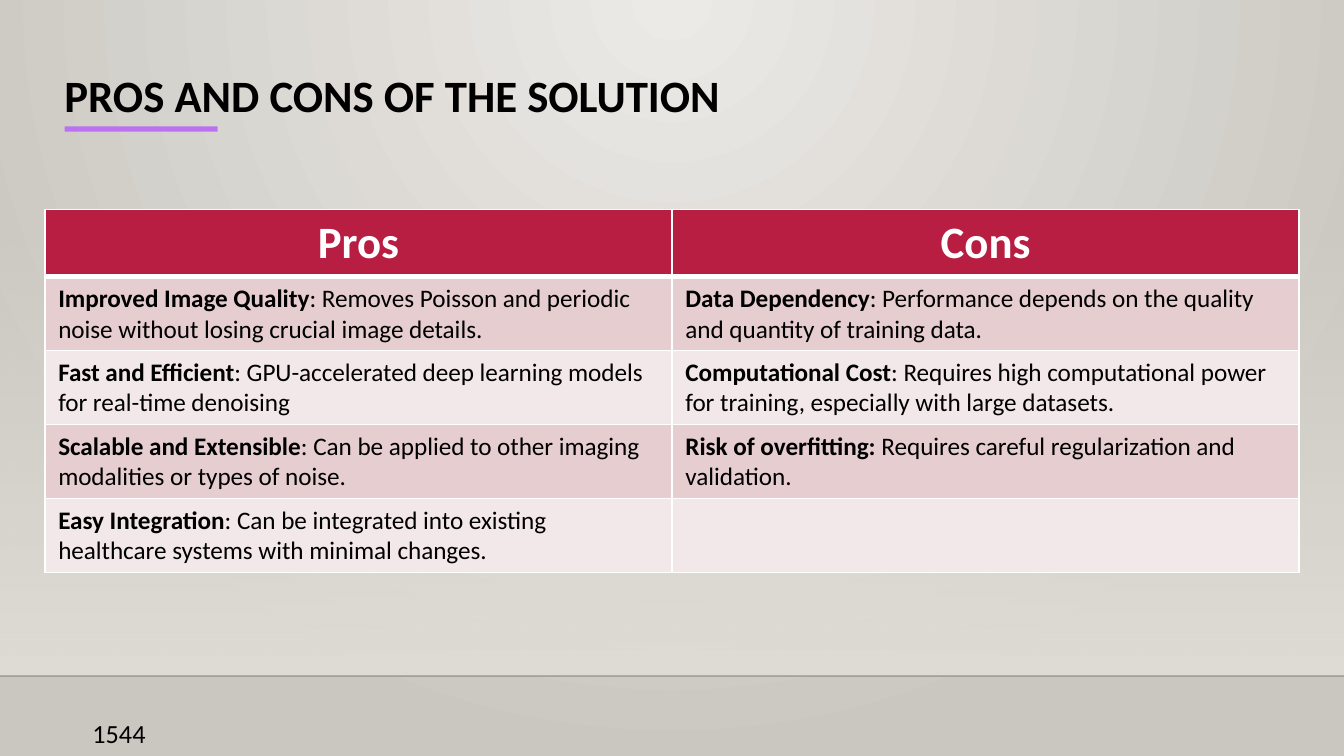
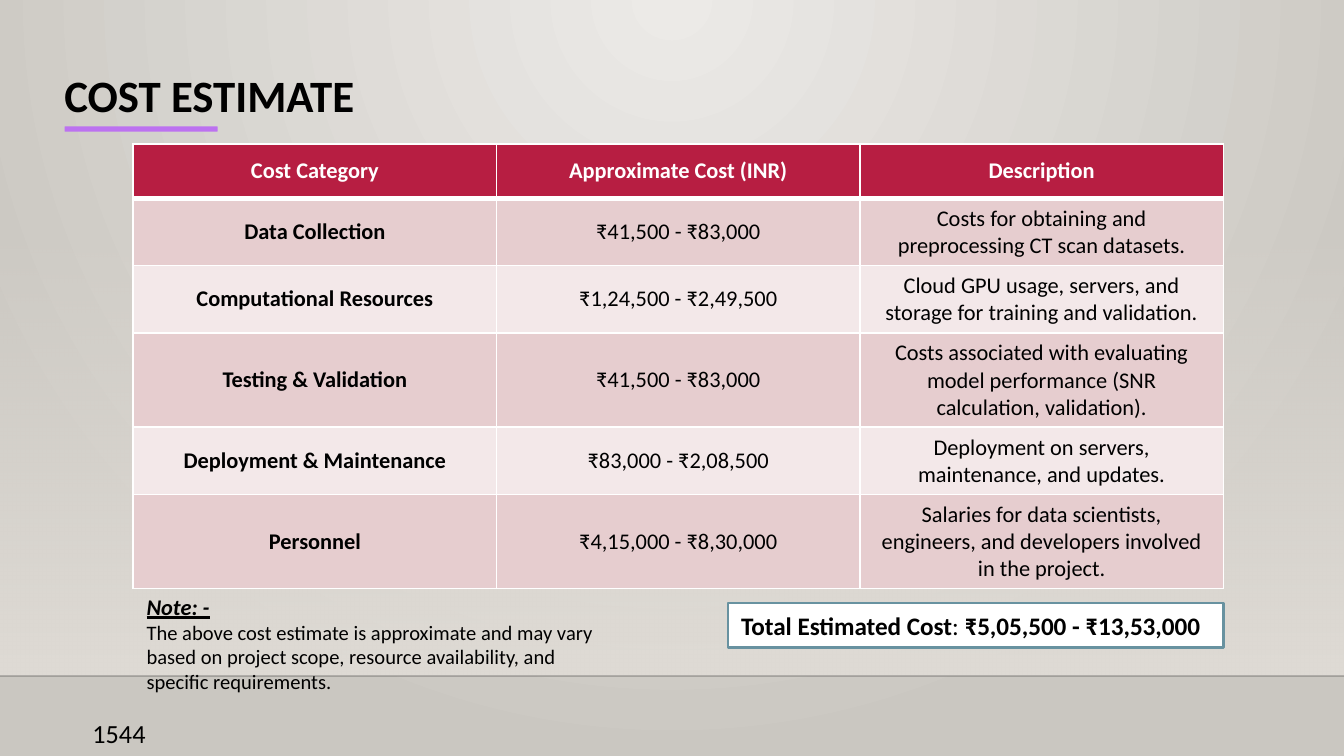
from lxml import etree
from pptx import Presentation
from pptx.dml import color as clr
from pptx.enum import shapes, text
from pptx.oxml import ns
from pptx.util import Pt

FONT = "Calibri"
BLACK, WHITE, PURPLE = "000000", "FFFFFF", "BC72F0"
CRIMSON, BANDS = "B71E42", ("E6CDCF", "F3E8E9")
PAGE = (0, 0, 720, 405)
ROW_HEIGHT = 29.2
LEFT, CENTER = text.PP_ALIGN.LEFT, text.PP_ALIGN.CENTER
TOP, MIDDLE, BOTTOM = text.MSO_ANCHOR.TOP, text.MSO_ANCHOR.MIDDLE, text.MSO_ANCHOR.BOTTOM
GROW = text.MSO_AUTO_SIZE.SHAPE_TO_FIT_TEXT
BOLD = {"bold": True}

PROS_CONS = [
    [[("Improved Image Quality", BOLD),
      (": Removes Poisson and periodic noise without losing crucial image details.", {})],
     [("Data Dependency", BOLD),
      (": Performance depends on the quality and quantity of training data.", {})]],
    [[("Fast and Efficient", BOLD),
      (": GPU-accelerated deep learning models for real-time denoising", {})],
     [("Computational Cost", BOLD),
      (": Requires high computational power for training, especially with large datasets.", {})]],
    [[("Scalable and Extensible", BOLD),
      (": Can be applied to other imaging modalities or types of noise.", {})],
     [("Risk of overfitting: ", BOLD),
      ("Requires careful regularization and validation.", {})]],
    [[("Easy Integration", BOLD),
      (": Can be integrated into existing healthcare systems with minimal changes.", {})],
     []],
]

COSTS = [
    ("Data Collection", "₹41,500 - ₹83,000",
     "Costs for obtaining and preprocessing CT scan datasets."),
    ("Computational Resources", "₹1,24,500 - ₹2,49,500",
     "Cloud GPU usage, servers, and storage for training and validation."),
    ("Testing & Validation", "₹41,500 - ₹83,000",
     "Costs associated with evaluating model performance (SNR calculation, validation)."),
    ("Deployment & Maintenance", "₹83,000 - ₹2,08,500",
     "Deployment on servers, maintenance, and updates."),
    ("Personnel", "₹4,15,000 - ₹8,30,000",
     "Salaries for data scientists, engineers, and developers involved in the project."),
]


def rgb(value):
    """Turn a hex string into a colour."""
    return clr.RGBColor.from_string(value)


def sub(parent, tag, **attrs):
    """Append a DrawingML element and return it."""
    return etree.SubElement(parent, ns.qn(tag), {k: str(v) for k, v in attrs.items()})


def set_gradient(grad, stops):
    """Replace the content of a gradient fill with (position, colour, opacity) stops."""
    for child in list(grad):
        grad.remove(child)
    stop_list = sub(grad, "a:gsLst")
    for pos, color, opacity in stops:
        stop = sub(sub(stop_list, "a:gs", pos=pos * 1000), "a:srgbClr", val=color)
        if opacity < 100:
            sub(stop, "a:alpha", val=opacity * 1000)


def write(tf, paragraphs, size, color=BLACK, align=LEFT, spacing=None):
    """Fill a text frame with paragraphs of (text, format) runs."""
    for i, runs in enumerate(paragraphs):
        p = tf.paragraphs[0] if i == 0 else tf.add_paragraph()
        p.alignment, p.line_spacing = align, spacing
        for content, extra in runs:
            r = p.add_run()
            r.text = content
            r.font.color.rgb = rgb(color)
            fmt = {"name": FONT, "size": Pt(size), "bold": False, **extra}
            for name, value in fmt.items():
                setattr(r.font, name, value)


def add_text(s, box, paragraphs, size, anchor=TOP, grow=True, spacing=None):
    """Add a wrapping text box."""
    tf = s.shapes.add_textbox(*map(Pt, box)).text_frame
    tf.word_wrap, tf.vertical_anchor = True, anchor
    tf.auto_size = GROW if grow else text.MSO_AUTO_SIZE.NONE
    write(tf, paragraphs, size, spacing=spacing)


def add_box(s, kind, box, fill):
    """Add a flat preset shape without an outline."""
    sp = s.shapes.add_shape(kind, *map(Pt, box))
    sp.shadow.inherit = False
    sp.fill.solid()
    sp.fill.fore_color.rgb = rgb(fill)
    sp.line.fill.background()
    return sp


def add_backdrop(s, box):
    """Paint the background, the fading wall and the floor line."""
    x, y, w, h = box
    s.background.fill.gradient()
    grad = s.element.find(".//" + ns.qn("a:gradFill"))
    set_gradient(grad, [(0, "ECEAE7", 100), (100, "CAC7C1", 100)])
    circle = sub(grad, "a:path", path="circle")
    sub(circle, "a:fillToRect", l=43000, t=0, r=43000, b=100000)

    floor = y + h - 42.8
    wall = add_box(s, shapes.MSO_SHAPE.RECTANGLE, (x, y + 119.5, w, floor - y - 119.5), WHITE)
    wall.fill.gradient()
    grad = wall.element.spPr.find(ns.qn("a:gradFill"))
    set_gradient(grad, [(0, "DFDBD5", 0), (100, "DFDBD5", 100)])
    sub(grad, "a:lin", ang=5400000, scaled=0)

    line = s.shapes.add_connector(shapes.MSO_CONNECTOR.STRAIGHT,
                                  *map(Pt, (x, floor, x + w, floor)))
    line.line.width = Pt(1)
    line.line.color.rgb = rgb("000001")
    sub(line.element.spPr.find(".//" + ns.qn("a:srgbClr")), "a:alpha", val=20000)
    sub(line.element.spPr, "a:effectLst")


def add_title(s, box, title):
    """Add the slide title with its accent bar."""
    x, y, w, h = box
    add_box(s, shapes.MSO_SHAPE.ROUNDED_RECTANGLE, (x + 7.2, y + h - 1.4, 82, 2.9), PURPLE)
    add_text(s, box, [[(title, BOLD)]], 24, BOTTOM, False, 0.9)


def new_slide(prs, title):
    """Add a slide with the shared backdrop, title and footer."""
    s = prs.slides.add_slide(prs.slide_layouts[6])
    add_backdrop(s, PAGE)
    add_title(s, (27.4, 0, 671.8, 69.1), title)
    add_text(s, (42.5, 380.9, 62.6, 24.5), [[("1544", {})]], 14)
    return s


def style_cell(cell, row, fill):
    """Give a cell white borders and a fill."""
    tc_pr = cell._tc.get_or_add_tcPr()
    heavy = {0: "B", 1: "T"}.get(row)
    for side in "LRTB":
        ln = sub(tc_pr, f"a:ln{side}", w=Pt(3 if side == heavy else 1))
        sub(sub(ln, "a:solidFill"), "a:srgbClr", val=WHITE)
    cell.fill.solid()
    cell.fill.fore_color.rgb = rgb(fill)


def add_grid(s, box, header, body, sizes, align, anchor):
    """Add a banded table with equal columns under a crimson header."""
    rows = [[[(name, BOLD)] for name in header]] + body
    frame = s.shapes.add_table(len(rows), len(header), *map(Pt, box))
    for i, cells in enumerate(rows):
        frame.table.rows[i].height = Pt(ROW_HEIGHT)
        for j, runs in enumerate(cells):
            cell = frame.table.cell(i, j)
            cell.vertical_anchor = anchor if i else MIDDLE
            style_cell(cell, i, BANDS[(i - 1) % 2] if i else CRIMSON)
            write(cell.text_frame, [runs], sizes[min(i, 1)],
                  BLACK if i else WHITE, align if i else CENTER)
    frame.height = Pt(box[3])


def add_total(s, box):
    """Add the framed total."""
    sp = add_box(s, shapes.MSO_SHAPE.RECTANGLE, box, WHITE)
    sp.line.color.rgb = rgb("6892A0")
    sp.line.width = Pt(1.25)
    sp.text_frame.word_wrap = True
    write(sp.text_frame, [[("Total Estimated Cost", BOLD), (": ", {}),
                           ("₹5,05,500 - ₹13,53,000", BOLD)]], 13.5)


def add_note(s, box):
    """Add the note on the estimate."""
    heading = {"size": Pt(12), "bold": True, "italic": True, "underline": True}
    add_text(s, box, [
        [("Note: -", heading)],
        [("The above cost estimate is approximate and may vary based on project scope, "
          "resource availability, and specific requirements.", {})],
    ], 11)


def pros_cons_slide(prs):
    """Build the comparison of pros and cons."""
    s = new_slide(prs, "PROS AND CONS OF THE SOLUTION")
    add_grid(s, (24, 112.2, 672, 199.4), ("Pros", "Cons"), PROS_CONS, (24, 13.5), LEFT, TOP)


def cost_slide(prs):
    """Build the cost estimate."""
    s = new_slide(prs, "COST ESTIMATE")
    body = [[[(name, BOLD)], [(cost, {})], [(about, {})]] for name, cost, about in COSTS]
    x, y, w, h = 71.4, 77.1, 584, 238.3
    add_grid(s, (x, y, w, h), ("Cost Category", "Approximate Cost (INR)", "Description"),
             body, (12, 12), CENTER, MIDDLE)
    add_total(s, (x + w - 265.4, y + h + 7.7, 265.4, 23.8))
    add_note(s, (x, y + h - 1.4, 265.7, 78.5))


def main():
    """Build and save the presentation."""
    prs = Presentation()
    prs.slide_width, prs.slide_height = map(Pt, PAGE[2:])
    pros_cons_slide(prs)
    cost_slide(prs)
    prs.save("out.pptx")


if __name__ == "__main__":
    main()
